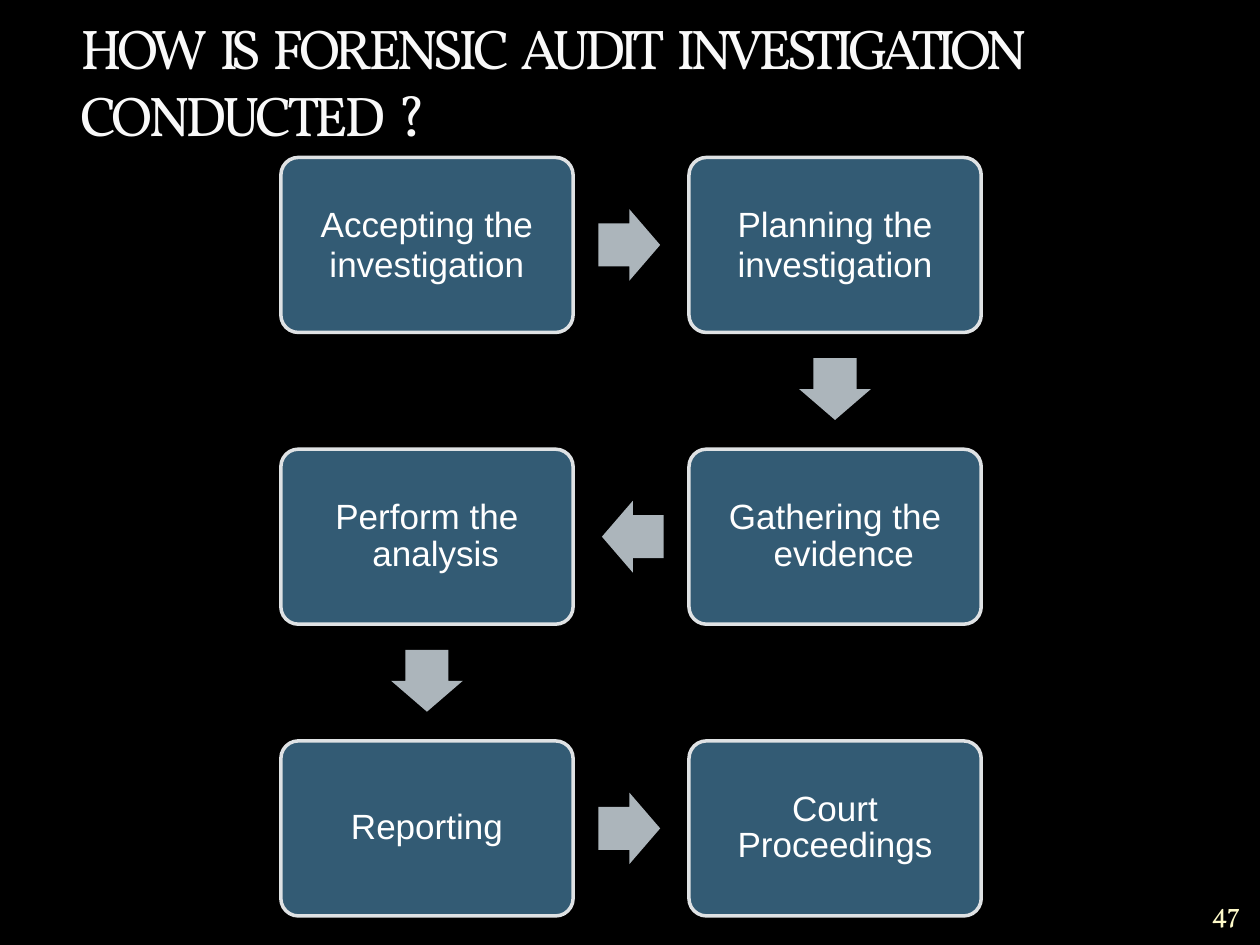
from pptx import Presentation
from pptx.dml.color import RGBColor
from pptx.enum.shapes import MSO_SHAPE
from pptx.enum.text import MSO_ANCHOR, PP_ALIGN
from pptx.util import Pt

ROUNDED = MSO_SHAPE.ROUNDED_RECTANGLE
RIGHT, LEFT, DOWN = MSO_SHAPE.RIGHT_ARROW, MSO_SHAPE.LEFT_ARROW, MSO_SHAPE.DOWN_ARROW
MIDDLE, BOTTOM = MSO_ANCHOR.MIDDLE, MSO_ANCHOR.BOTTOM
CENTER = PP_ALIGN.CENTER

BLACK = RGBColor(0x00, 0x00, 0x00)
WHITE = RGBColor(0xFF, 0xFF, 0xFF)
TITLE_WHITE = RGBColor(0xF9, 0xF9, 0xF9)
CREAM = RGBColor(0xFE, 0xFA, 0xC9)
STEEL_BLUE = RGBColor(0x33, 0x5B, 0x74)
BORDER_GREY = RGBColor(0xDF, 0xE2, 0xE4)
ARROW_GREY = RGBColor(0xAC, 0xB5, 0xBB)

TITLE = [
    ("HOW", -3.2), ("IS", -4.7), ("FORENSIC", -3), ("AUDIT", -3.3),
    ("INVESTIGATION", -3.4), ("CONDUCTED", -2.5), ("?", -2.2),
]
PAGE_NUMBER = "47"
STEPS = [
    (["Accepting the", "investigation"], 22.4, 0),
    (["Planning the", "investigation"], 22.4, 0),
    (["Gathering the evidence"], 20.8, 10),
    (["Perform the analysis"], 20.8, 10),
    (["Reporting"], 20.8, 0),
    (["Court Proceedings"], 20.8, 0),
]

COLUMNS = 2
BOX_W, BOX_H = 167, 100
GRID_LEFT, GRID_TOP = 160.5, 90
COLUMN_STEP, ROW_STEP = 233.2, 166.7
ARROW_LENGTH, ARROW_BREADTH = 35.3, 41
ARROW_SETBACK = 1


def set_margins(frame, side=0):
    frame.margin_left = frame.margin_right = Pt(side)
    frame.margin_top = frame.margin_bottom = 0
    frame.word_wrap = True


def add_label(slide, left, top, width, height, anchor):
    frame = slide.shapes.add_textbox(Pt(left), Pt(top), Pt(width), Pt(height)).text_frame
    set_margins(frame)
    frame.vertical_anchor = anchor
    return frame.paragraphs[0]


def style(paragraph, font_name, size, color):
    paragraph.font.name = font_name
    paragraph.font.size = Pt(size)
    paragraph.font.color.rgb = color


def add_run(paragraph, text, spacing=0):
    run = paragraph.add_run()
    run.text = text
    run.font._element.set("spc", str(round(spacing * 100)))


def add_solid(slide, kind, center, width, height, color):
    x, y = center
    shape = slide.shapes.add_shape(
        kind, Pt(x - width / 2), Pt(y - height / 2), Pt(width), Pt(height))
    shape.shadow.inherit = False
    shape.fill.solid()
    shape.fill.fore_color.rgb = color
    shape.line.fill.background()
    return shape


def step_center(index):
    row, column = divmod(index, COLUMNS)
    if row % 2:
        column = COLUMNS - 1 - column
    return (GRID_LEFT + column * COLUMN_STEP + BOX_W / 2,
            GRID_TOP + row * ROW_STEP + BOX_H / 2)


def add_step(slide, center, lines, line_height, hanging):
    box = add_solid(slide, ROUNDED, center, BOX_W, BOX_H, STEEL_BLUE)
    box.adjustments[0] = 0.1
    box.line.color.rgb = BORDER_GREY
    box.line.width = Pt(2)
    frame = box.text_frame
    set_margins(frame, 10)
    frame.vertical_anchor = MIDDLE
    for number, line in enumerate(lines):
        paragraph = frame.add_paragraph() if number else frame.paragraphs[0]
        paragraph.text = line
        paragraph.alignment = CENTER
        paragraph.line_spacing = Pt(line_height)
        style(paragraph, "Arial", 20, WHITE)
        if hanging:
            properties = paragraph._p.get_or_add_pPr()
            properties.set("marL", str(Pt(hanging)))
            properties.set("indent", str(-Pt(hanging)))


def add_arrow(slide, start, end):
    x, y = (start[0] + end[0]) / 2, (start[1] + end[1]) / 2
    if start[1] != end[1]:
        kind, center = DOWN, (x, y - ARROW_SETBACK)
        size = ARROW_BREADTH, ARROW_LENGTH
    else:
        rightward = end[0] > start[0]
        kind = RIGHT if rightward else LEFT
        center = (x - ARROW_SETBACK if rightward else x + ARROW_SETBACK, y)
        size = ARROW_LENGTH, ARROW_BREADTH
    arrow = add_solid(slide, kind, center, *size, ARROW_GREY)
    arrow.adjustments[0] = 0.6
    arrow.adjustments[1] = 0.5


def main():
    deck = Presentation()
    deck.slide_width, deck.slide_height = Pt(720), Pt(540)
    slide = deck.slides.add_slide(deck.slide_layouts[6])
    slide.background.fill.solid()
    slide.background.fill.fore_color.rgb = BLACK

    page_number = add_label(slide, 690.5, 512.6, 20, 17.3, MIDDLE)
    page_number.alignment = CENTER
    add_run(page_number, PAGE_NUMBER, -0.7)
    style(page_number, "Vollkorn", 16, CREAM)

    title = add_label(slide, 46, 5.8, 638, 78.5, BOTTOM)
    style(title, "Vollkorn", 32, TITLE_WHITE)
    for position, (word, spacing) in enumerate(TITLE):
        if position:
            add_run(title, " ")
        add_run(title, word, spacing)

    centers = [step_center(index) for index in range(len(STEPS))]
    for center, step in zip(centers, STEPS):
        add_step(slide, center, *step)
    for start, end in zip(centers, centers[1:]):
        add_arrow(slide, start, end)

    deck.save("out.pptx")


if __name__ == "__main__":
    main()
